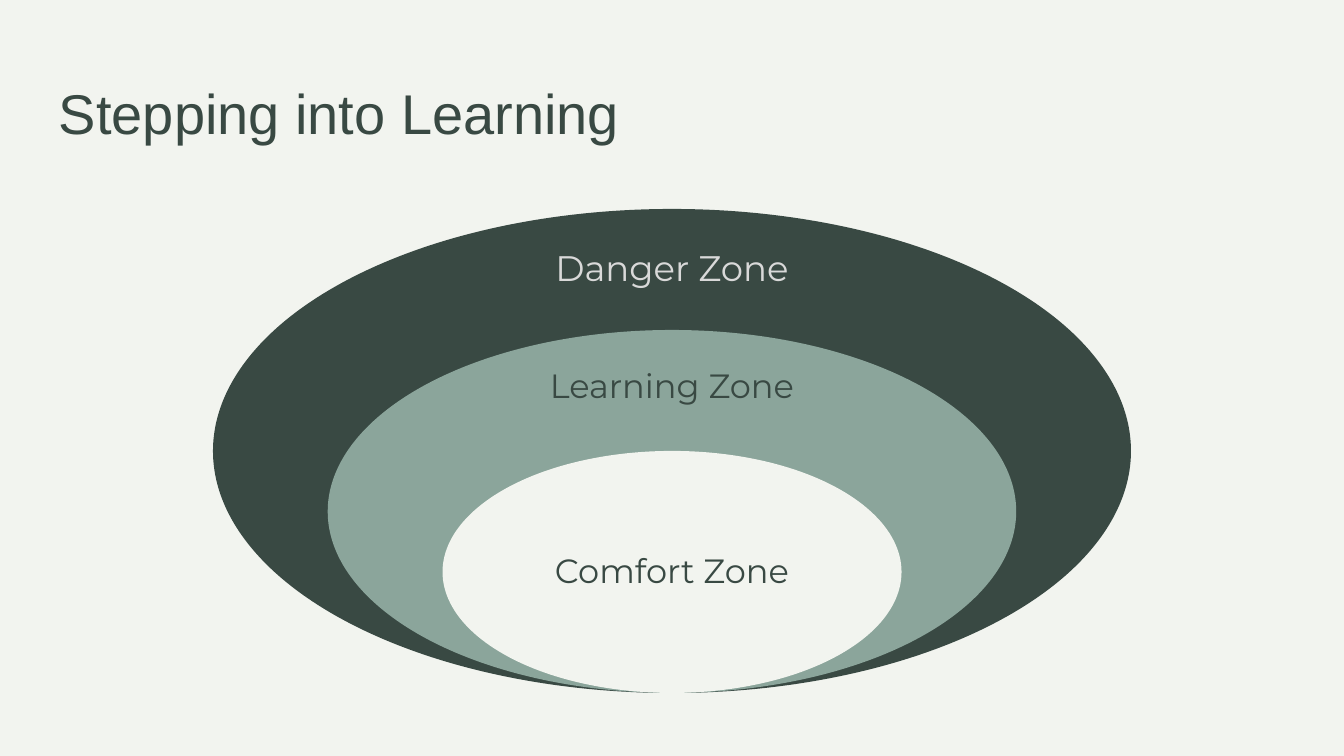
import pptx
import pptx.dml.color
import pptx.enum.shapes
import pptx.enum.text
import pptx.util

EMU_PER_PX = 914400 / 134.4
SLIDE_WIDTH, SLIDE_HEIGHT = 1344, 756
COLORS = {"paper": "F2F4EF", "forest": "394943", "sage": "8BA59B", "silver": "D9D9D9"}

CENTER_X = SLIDE_WIDTH // 2
ZONES_BOTTOM = 693
OUTER_WIDTH, OUTER_HEIGHT = 918, 484
# name, fill, text colour, text size, label top, label width, label height
ZONES = [
    ("Danger Zone", "forest", "silver", 19, 234, 322, 73),
    ("Learning Zone", "sage", "forest", 18, 353, 322, 69),
    ("Comfort Zone", "paper", "forest", 18, 512, 326, 121),
]


def px(length):
    return pptx.util.Emu(round(length * EMU_PER_PX))


def rgb(name):
    return pptx.dml.color.RGBColor.from_string(COLORS[name])


def write(frame, text, *, size, font, color, align, anchor, inset, spacing=1.0):
    frame.word_wrap = True
    frame.auto_size = pptx.enum.text.MSO_AUTO_SIZE.NONE
    frame.vertical_anchor = anchor
    frame.margin_left = frame.margin_right = px(inset)
    frame.margin_top = frame.margin_bottom = px(inset)
    paragraph = frame.paragraphs[0]
    paragraph.alignment = align
    paragraph.line_spacing = spacing
    run = paragraph.add_run()
    run.text = text
    run.font.size = pptx.util.Pt(size)
    run.font.name = font
    run.font.color.rgb = rgb(color)


class ZoneSlide:
    """Holds the fonts and the slide being built."""

    title_font = "Arial"
    label_font = "Montserrat"

    def __init__(self, deck):
        self.slide = deck.slides.add_slide(deck.slide_layouts[5])
        self.slide.background.fill.solid()
        self.slide.background.fill.fore_color.rgb = rgb("paper")
        self.diagram = self.slide.shapes.add_group_shape()

    def title(self, text, left, top, width, height):
        heading = self.slide.shapes.title
        heading.left, heading.top = px(left), px(top)
        heading.width, heading.height = px(width), px(height)
        write(heading.text_frame, text, size=30, font=self.title_font, color="forest",
              align=pptx.enum.text.PP_ALIGN.LEFT,
              anchor=pptx.enum.text.MSO_ANCHOR.TOP, inset=13)

    def ellipse(self, width, height, fill):
        """Draw an ellipse resting on the common bottom point."""
        zone = self.diagram.shapes.add_shape(
            pptx.enum.shapes.MSO_SHAPE.OVAL, px(CENTER_X - width / 2),
            px(ZONES_BOTTOM - height), px(width), px(height))
        zone.shadow.inherit = False
        zone.fill.solid()
        zone.fill.fore_color.rgb = rgb(fill)
        zone.line.fill.background()

    def label(self, text, top, width, height, size, color):
        caption = self.diagram.shapes.add_textbox(
            px(CENTER_X - width / 2), px(top), px(width), px(height))
        write(caption.text_frame, text, size=size, font=self.label_font, color=color,
              align=pptx.enum.text.PP_ALIGN.CENTER,
              anchor=pptx.enum.text.MSO_ANCHOR.MIDDLE, inset=19, spacing=0.9)


def main():
    deck = pptx.Presentation()
    deck.slide_width, deck.slide_height = px(SLIDE_WIDTH), px(SLIDE_HEIGHT)
    page = ZoneSlide(deck)
    page.title("Stepping into Learning", 46, 66, 1252, 85)
    for level, (name, fill, color, size, top, width, height) in enumerate(ZONES):
        share = 1 - level / 4
        page.ellipse(OUTER_WIDTH * share, OUTER_HEIGHT * share, fill)
        page.label(name, top, width, height, size, color)
    deck.save("out.pptx")


if __name__ == "__main__":
    main()
